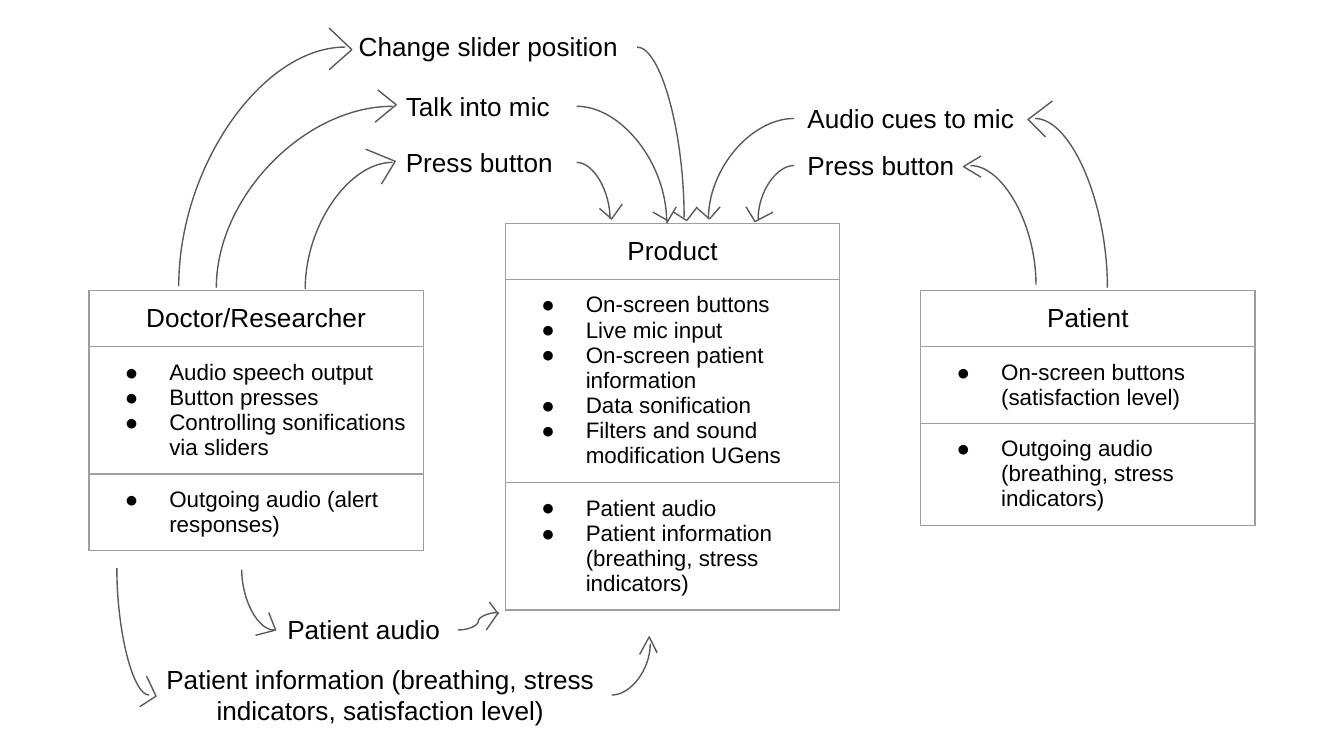
from dataclasses import dataclass
from typing import Optional

from lxml.etree import SubElement
from pptx import Presentation
from pptx.dml.color import RGBColor
from pptx.enum.shapes import MSO_CONNECTOR
from pptx.enum.text import MSO_AUTO_SIZE, PP_ALIGN
from pptx.oxml.ns import qn
from pptx.util import Cm, Pt

Point = tuple[float, float]
INK, EDGE, GRID = "000000", "595959", "9E9E9E"
PAD = Cm(0.25)
FRAME = dict(margin_left=PAD, margin_right=PAD, margin_top=PAD, margin_bottom=PAD)


@dataclass
class Card:
    left: float
    top: float
    title: str
    lists: list[list[str]]
    rows: list[float]


@dataclass
class Label:
    """A text with a curve from each side to a point near a card."""
    text: str
    left: float
    top: float
    width: float
    west: Point
    east: Point
    height: float = 1.12
    align: Optional[PP_ALIGN] = None
    bend: str = "curvedConnector2"


CARDS = [
    Card(9.55, 4.22, "Product", [
        ["On-screen buttons", "Live mic input", "On-screen patient information",
         "Data sonification", "Filters and sound modification UGens"],
        ["Patient audio", "Patient information (breathing, stress indicators)"],
    ], [1.06, 3.84, 2.41]),
    Card(1.68, 5.49, "Doctor/Researcher", [
        ["Audio speech output", "Button presses", "Controlling sonifications via sliders"],
        ["Outgoing audio (alert responses)"],
    ], [1.06, 2.41, 1.45]),
    Card(17.4, 5.49, "Patient", [
        ["On-screen buttons (satisfaction level)"],
        ["Outgoing audio (breathing, stress indicators)"],
    ], [1.06, 1.45, 1.93]),
]

LABELS = [
    Label("Press button", 7.42, 2.51, 3.48, (5.77, 5.46), (11.53, 4.14)),
    Label("Talk into mic", 7.42, 1.45, 3.48, (4.09, 5.44), (12.6, 4.19)),
    Label("Change slider position", 6.53, 0.33, 5.51, (3.38, 5.41), (12.93, 4.11)),
    Label("Press button", 15.01, 2.57, 3.33, (14.33, 4.14), (19.58, 5.38)),
    Label("Audio cues to mic", 15.01, 1.68, 4.55, (13.39, 4.14), (20.93, 5.44)),
    Label("Patient audio", 5.18, 11.35, 3.48, (4.57, 10.77), (9.42, 11.58),
          bend="curvedConnector3"),
    Label("Patient information (breathing, stress indicators, satisfaction level)",
          2.82, 12.29, 8.74, (2.21, 10.74), (12.29, 12.17), 1.7, PP_ALIGN.CENTER),
]

# Open arrowheads, each a short polyline
HEADS: list[list[Point]] = [
    [(6.22, 0.53), (6.65, 0.94), (6.22, 1.32)],
    [(7.14, 1.7), (7.49, 1.98), (7.09, 2.31)],
    [(6.91, 2.82), (7.47, 3.05), (7.21, 3.48)],
    [(11.76, 3.86), (11.56, 4.14), (11.33, 3.94)],
    [(12.78, 3.91), (12.6, 4.22)],
    [(12.34, 4.01), (12.62, 4.17)],
    [(13.18, 3.91), (12.98, 4.17), (12.73, 4.01)],
    [(13.61, 3.91), (13.41, 4.14), (13.18, 3.94)],
    [(14.61, 4.01), (14.27, 4.19), (14.1, 3.91)],
    [(18.54, 2.95), (18.21, 3.15), (18.54, 3.35)],
    [(19.89, 1.91), (19.43, 2.26), (19.76, 2.59)],
    [(5.08, 11.58), (5.21, 11.91), (4.83, 12.01)],
    [(2.77, 12.78), (2.95, 13.16), (2.64, 13.36)],
    [(9.25, 11.38), (9.42, 11.61)],
    [(9.42, 11.58), (9.19, 11.91)],
    [(12.09, 12.37), (12.27, 12.04), (12.42, 12.34)],
]


def color(hue: str) -> RGBColor:
    return RGBColor.from_string(hue)


def apply(item, form: dict) -> None:
    for name, value in form.items():
        setattr(item, name, value)


def write(para, text: str, size: int, align: Optional[PP_ALIGN] = None) -> None:
    run = para.add_run()
    run.text = text
    apply(run.font, dict(name="Arial", size=Pt(size), bold=False))
    run.font.color.rgb = color(INK)
    para.alignment = align


def bullet(para) -> None:
    props = para._p.get_or_add_pPr()
    apply_xml = dict(marL=Cm(1.27), indent=Cm(-0.84))
    for key, value in apply_xml.items():
        props.set(key, str(int(value)))
    tint = SubElement(props, qn("a:buClr"))
    SubElement(tint, qn("a:srgbClr"), val=INK)
    SubElement(props, qn("a:buFont"), typeface="Arial")
    SubElement(props, qn("a:buChar"), char="●")


def border(cell) -> None:
    props = cell._tc.get_or_add_tcPr()
    for side in ("lnL", "lnR", "lnT", "lnB"):
        line = SubElement(props, qn(f"a:{side}"), w=str(int(Pt(0.75))))
        fill = SubElement(line, qn("a:solidFill"))
        SubElement(fill, qn("a:srgbClr"), val=GRID)


def stroke(shape) -> None:
    shape.line.color.rgb = color(EDGE)
    shape.line.width = Pt(0.75)


def draw_card(shapes, card: Card) -> None:
    frame = shapes.add_table(len(card.rows), 1, Cm(card.left), Cm(card.top),
                             Cm(6.32), Cm(sum(card.rows)))
    table = frame.table
    apply(table, dict(first_row=False, horz_banding=False))
    for i, high in enumerate(card.rows):
        table.rows[i].height = Cm(high)
        cell = table.cell(i, 0)
        apply(cell, FRAME)
        border(cell)
        cell.fill.background()
        body = cell.text_frame
        if i == 0:
            write(body.paragraphs[0], card.title, 14, PP_ALIGN.CENTER)
            continue
        for j, text in enumerate(card.lists[i - 1]):
            para = body.add_paragraph() if j else body.paragraphs[0]
            write(para, text, 12)
            bullet(para)


def draw_curve(shapes, start: Point, end: Point, bend: str) -> None:
    curve = shapes.add_connector(MSO_CONNECTOR.CURVE, *map(Cm, start + end))
    props = curve._element.spPr
    props.find(qn("a:prstGeom")).set("prst", bend)
    stroke(curve)
    SubElement(props, qn("a:effectLst"))


def draw_label(shapes, label: Label) -> None:
    box = shapes.add_textbox(Cm(label.left), Cm(label.top), Cm(label.width), Cm(label.height))
    body = box.text_frame
    apply(body, FRAME | dict(word_wrap=True, auto_size=MSO_AUTO_SIZE.SHAPE_TO_FIT_TEXT))
    write(body.paragraphs[0], label.text, 14, label.align)
    mid = label.top + label.height / 2
    draw_curve(shapes, (label.left, mid), label.west, "curvedConnector2")
    draw_curve(shapes, (label.left + label.width, mid), label.east, label.bend)


def draw_head(shapes, points: list[Point]) -> None:
    first, *rest = [(Cm(x), Cm(y)) for x, y in points]
    pen = shapes.build_freeform(*first)
    pen.add_line_segments(rest, close=False)
    head = pen.convert_to_shape()
    head.shadow.inherit = False
    head.fill.background()
    stroke(head)


# Slide
deck = Presentation()
apply(deck, dict(slide_width=Cm(25.4), slide_height=Cm(14.29)))
shapes = deck.slides.add_slide(deck.slide_layouts[6]).shapes

# Cards, labels with curves, arrowheads
for card in CARDS:
    draw_card(shapes, card)
for label in LABELS:
    draw_label(shapes, label)
for points in HEADS:
    draw_head(shapes, points)

deck.save("out.pptx")
